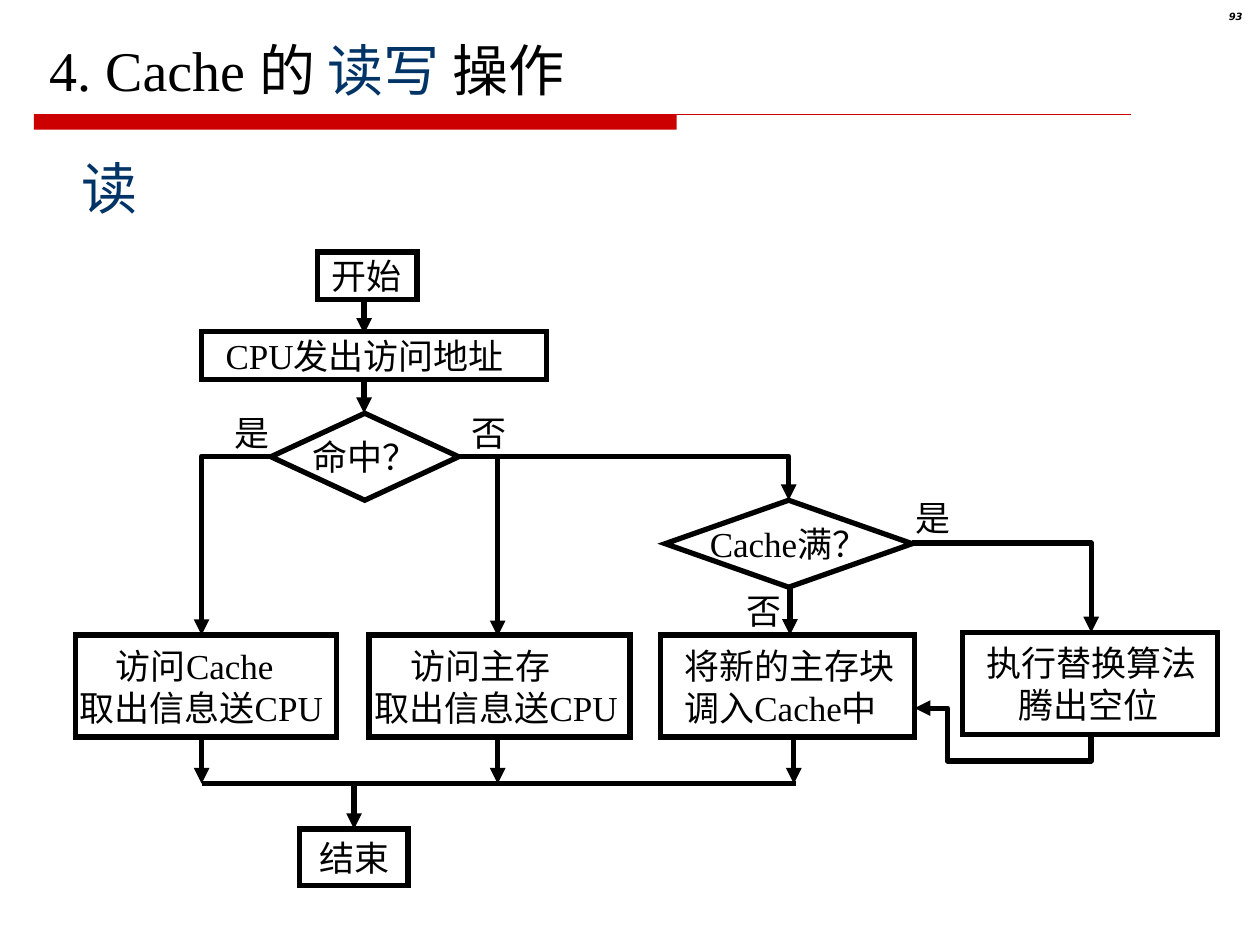
import pptx
import pptx.util
import pptx.dml.color
import pptx.enum.shapes
import pptx.enum.text
import pptx.oxml
import pptx.oxml.ns

Inches, Pt = pptx.util.Inches, pptx.util.Pt
RGBColor = pptx.dml.color.RGBColor
SHAPE = pptx.enum.shapes.MSO_SHAPE
STRAIGHT = pptx.enum.shapes.MSO_CONNECTOR.STRAIGHT
ALIGN = pptx.enum.text.PP_ALIGN
ANCHOR = pptx.enum.text.MSO_ANCHOR
AUTO = pptx.enum.text.MSO_AUTO_SIZE

BLACK = RGBColor(0, 0, 0)
NAVY = RGBColor(0x00, 0x33, 0x66)
RED = RGBColor(0xCC, 0x00, 0x00)

BODY = {"name": "Times New Roman", "size": Pt(20)}
HEADING = {"name": "Times New Roman", "size": Pt(32)}
NUMBER = {"name": "DejaVu Sans", "size": Pt(5.7), "bold": True, "italic": True}

TITLE = [("4. Cache 的 ", BLACK), ("读写 ", NAVY), ("操作", BLACK)]

# fmt: off
BOXES = [
    ((2.52, 2, 0.79, 0.38), 0.11, [("开始", 0)]),
    ((1.6, 2.63, 2.74, 0.38), 0.19, [("CPU发出访问地址", 0)]),
    ((0.6, 5.04, 2.07, 0.81), 0.03, [("访问Cache", 0.29), ("取出信息送CPU", 0)]),
    ((2.93, 5.04, 2.07, 0.81), 0.04, [("访问主存", 0.29), ("取出信息送CPU", 0)]),
    ((5.24, 5.04, 2.02, 0.81), 0.19, [("将新的主存块", 0), ("调入Cache中", 0)]),
    ((7.64, 5.02, 2.02, 0.81), 0.19, [("执行替换算法", 0), ("腾出空位", 0.25)]),
    ((2.38, 6.58, 0.86, 0.45), 0.16, [("结束", 0)]),
]
DECISIONS = [
    ((2.15, 3.28, 1.49, 0.69), "命中？"),
    ((5.28, 3.97, 1.96, 0.69), "Cache满？"),
]
LABELS = [
    ("是", 1.76, 3.22), ("否", 3.64, 3.22),
    ("是", 7.17, 3.89), ("否", 5.83, 4.63),
]
ARROWS = [
    [(2.89, 2.39), (2.89, 2.65)],
    [(2.89, 3.02), (2.89, 3.28)],
    [(2.17, 3.62), (1.6, 3.62), (1.6, 5.04)],
    [(3.95, 3.64), (3.95, 5.05)],
    [(3.63, 3.62), (6.26, 3.62), (6.26, 3.97)],
    [(6.27, 4.66), (6.27, 5.04)],
    [(7.24, 4.31), (8.66, 4.31), (8.66, 5.02)],
    [(8.66, 5.83), (8.66, 6.04), (7.52, 6.04), (7.52, 5.62), (7.26, 5.62)],
    [(2.81, 6.21), (2.81, 6.58)],
] + [[(x, 5.84), (x, 6.22)] for x in (1.6, 3.95, 6.3)]
MERGE_LINE = [(1.6, 6.22), (6.32, 6.22)]
# fmt: on


def add_run(p, text, fmt, color=BLACK):
    r = p.add_run()
    r.text = text
    for key, value in fmt.items():
        setattr(r.font, key, value)
    r.font.color.rgb = color


def append_xml(parent, tag, attrs=""):
    ns = pptx.oxml.ns.nsdecls("a")
    parent.append(pptx.oxml.parse_xml(f"<a:{tag} {ns} {attrs}/>"))


def add_text(s, at, text, fmt, color=BLACK, align=ALIGN.LEFT):
    sp = s.shapes.add_textbox(*map(Inches, at))
    sp.text_frame.word_wrap = False
    p = sp.text_frame.paragraphs[0]
    p.alignment = align
    add_run(p, text, fmt, color)
    return p


def add_node(s, kind, at):
    sp = s.shapes.add_shape(kind, *map(Inches, at))
    sp.shadow.inherit = False
    sp.fill.background()
    sp.line.color.rgb = BLACK
    sp.line.width = Pt(3)
    append_xml(sp.line._get_or_add_ln(), "miter", 'lim="800000"')
    tf = sp.text_frame
    tf.word_wrap = False
    tf.vertical_anchor = ANCHOR.MIDDLE
    for side in ("left", "right", "top", "bottom"):
        setattr(tf, f"margin_{side}", 0)
    return tf


def add_route(s, points, color=BLACK, width=3, arrow=True):
    pts = [(Inches(x), Inches(y)) for x, y in points]
    if len(pts) == 2:
        sp = s.shapes.add_connector(STRAIGHT, *pts[0], *pts[1])
        append_xml(sp._element.spPr, "effectLst")
    else:
        builder = s.shapes.build_freeform(*pts[0])
        builder.add_line_segments(pts[1:], close=False)
        sp = builder.convert_to_shape()
        sp.shadow.inherit = False
        sp.fill.background()
    sp.line.color.rgb = color
    sp.line.width = Pt(width)
    if arrow:
        append_xml(sp.line._get_or_add_ln(), "tailEnd", 'type="triangle"')


def main():
    prs = pptx.Presentation()
    prs.slide_width, prs.slide_height = Inches(10), Inches(7.5)
    s = prs.slides.add_slide(prs.slide_layouts[5])

    bar = s.shapes.add_shape(SHAPE.RECTANGLE, *map(Inches, (0.27, 0.91, 5.1, 0.12)))
    bar.shadow.inherit = False
    bar.fill.solid()
    bar.fill.fore_color.rgb = RED
    bar.line.fill.background()
    add_route(s, [(0.27, 0.91), (8.98, 0.91)], RED, 0.75, arrow=False)

    title = s.shapes.title
    title.left, title.top, title.width, title.height = map(Inches, (0.29, 0.23, 4.4, 0.64))
    tf = title.text_frame
    tf.word_wrap = False
    tf.auto_size = AUTO.NONE
    tf.vertical_anchor = ANCHOR.TOP
    p = tf.paragraphs[0]
    p.alignment = ALIGN.LEFT
    for text, color in TITLE:
        add_run(p, text, HEADING, color)

    p = add_text(s, (9.37, 0.05, 0.59, 0.23), "93", NUMBER, align=ALIGN.RIGHT)
    p.line_spacing = 0.8
    add_text(s, (0.55, 1.17, 0.64, 0.64), "读", HEADING, NAVY)

    for at, inset, lines in BOXES:
        tf = add_node(s, SHAPE.RECTANGLE, at)
        tf.word_wrap = True
        tf.margin_left = Inches(inset)
        for i, (text, indent) in enumerate(lines):
            p = tf.add_paragraph() if i else tf.paragraphs[0]
            p.alignment = ALIGN.LEFT
            if indent:
                p._p.get_or_add_pPr().set("marL", str(Inches(indent)))
            add_run(p, text, BODY)

    for at, text in DECISIONS:
        p = add_node(s, SHAPE.DIAMOND, at).paragraphs[0]
        p.alignment = ALIGN.CENTER
        add_run(p, text, BODY)

    for points in ARROWS:
        add_route(s, points)
    add_route(s, MERGE_LINE, arrow=False)

    for text, x, y in LABELS:
        add_text(s, (x, y, 0.48, 0.44), text, BODY)

    prs.save("out.pptx")


if __name__ == "__main__":
    main()
